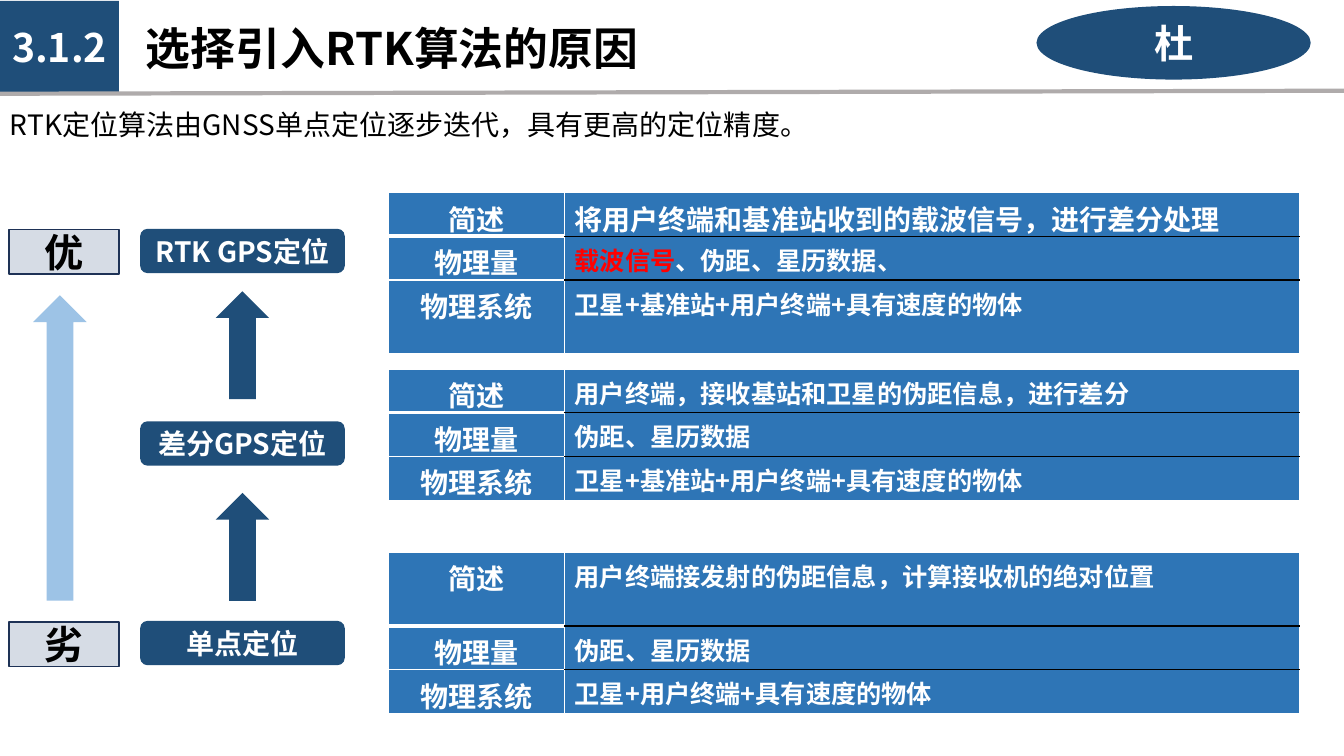
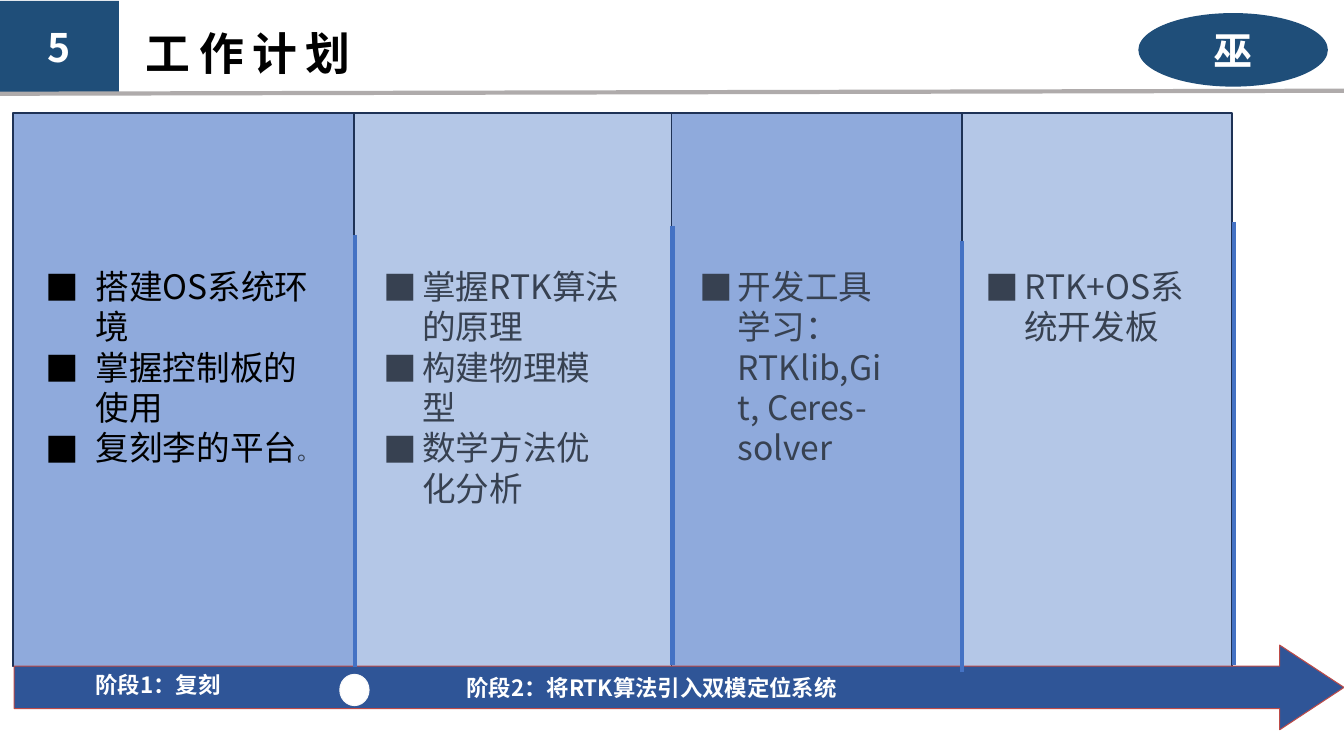
from dataclasses import dataclass

from lxml.etree import SubElement
from pptx import Presentation
from pptx.dml.color import RGBColor
from pptx.enum.shapes import MSO_CONNECTOR as Connector, MSO_SHAPE as Shape
from pptx.enum.text import MSO_ANCHOR as Anchor, PP_ALIGN as Align
from pptx.oxml.ns import qn
from pptx.util import Inches, Pt

FONT = "Noto Sans CJK SC"
WHITE, BLACK, RED = "FFFFFF", "000000", "FF0000"
NAVY, OUTLINE, RULE_GREY = "1F4E79", "1E3256", "AFABAB"
TABLE_BLUE, PALE_GREY, SKY = "2E75B6", "D6DCE5", "9DC3E6"
COLUMN_DARK, COLUMN_LIGHT, DIVIDER_BLUE = "8FAADC", "B4C7E7", "4472C4"
STAGE_BLUE, STAGE_EDGE, DOT_EDGE, SLATE = "2F5597", "BE4B48", "F9F9F9", "374151"


@dataclass
class Style:
    size: float
    color: str = WHITE
    bold: bool = True
    spacing: int = 0


def rgb(color):
    return RGBColor.from_string(color)


def add_run(paragraph, text, style):
    run = paragraph.add_run()
    run.text = text
    font = run.font
    font.size, font.bold, font.name = Pt(style.size), style.bold, FONT
    font.color.rgb = rgb(style.color)
    properties = run._r.get_or_add_rPr()
    SubElement(properties, qn("a:ea")).set("typeface", FONT)
    if style.spacing:
        properties.set("spc", str(style.spacing * 100))


def add_block(slide, kind, box, fill, edge=None, edge_width=1, text="", size=28, color=WHITE):
    """Add a preset shape with an optional outline and a centred bold label."""
    block = slide.shapes.add_shape(kind, *map(Inches, box))
    block.shadow.inherit = False
    block.fill.solid()
    block.fill.fore_color.rgb = rgb(fill)
    if edge:
        block.line.color.rgb = rgb(edge)
        block.line.width = Pt(edge_width)
    else:
        block.line.fill.background()
    if text:
        frame = block.text_frame
        frame.vertical_anchor = Anchor.MIDDLE
        frame.margin_top = frame.margin_bottom = 0
        frame.paragraphs[0].alignment = Align.CENTER
        add_run(frame.paragraphs[0], text, Style(size, color))
    return block


def add_text_frame(slide, box, anchor=Anchor.TOP):
    frame = slide.shapes.add_textbox(*map(Inches, box)).text_frame
    frame.word_wrap = True
    frame.vertical_anchor = anchor
    return frame


def add_label(slide, box, text, style, anchor=Anchor.TOP):
    add_run(add_text_frame(slide, box, anchor).paragraphs[0], text, style)


def add_rule(slide, start, end, color):
    rule = slide.shapes.add_connector(Connector.STRAIGHT, *map(Inches, start + end))
    rule.line.color.rgb = rgb(color)
    rule.line.width = Pt(3)
    SubElement(rule._element.spPr, qn("a:effectLst"))


def add_bullets(slide, box, items, style, indent):
    """Add a square-bulleted list; each item is a list of (text, style) runs or plain text."""
    frame = add_text_frame(slide, box)
    for index, item in enumerate(items):
        paragraph = frame.add_paragraph() if index else frame.paragraphs[0]
        properties = paragraph._p.get_or_add_pPr()
        properties.set("marL", str(Inches(indent)))
        properties.set("indent", str(-Inches(indent)))
        SubElement(properties, qn("a:buFont")).set("typeface", FONT)
        SubElement(properties, qn("a:buChar")).set("char", "■")
        for text, run_style in [(item, style)] if isinstance(item, str) else item:
            add_run(paragraph, text, run_style)


def set_borders(cell, borders):
    """Set the left, right, top and bottom borders, each a (colour, points) pair."""
    properties = cell._tc.get_or_add_tcPr()
    for index, (side, (color, width)) in enumerate(zip("LRTB", borders)):
        line = SubElement(properties, qn(f"a:ln{side}"), w=str(Pt(width)))
        fill = SubElement(line, qn("a:solidFill"))
        SubElement(fill, qn("a:srgbClr")).set("val", color)
        properties.insert(index, line)


def add_method_table(slide, top, heights, values):
    """Add a table of one positioning method; each value is a list of (text, style) runs."""
    edge = (WHITE, 1)
    label_lines = [edge, (WHITE, 3), edge, edge]
    value_lines = [edge, (BLACK, 1), (BLACK, 1), edge]
    widths = (1.75, 7.29)
    labels = ("简述", "物理量", "物理系统")
    table = slide.shapes.add_table(
        len(labels), len(widths), Inches(3.85), Inches(top),
        Inches(sum(widths)), Inches(sum(heights))).table
    for column, width in zip(table.columns, widths):
        column.width = Inches(width)
    for row, height in enumerate(heights):
        table.rows[row].height = Inches(height)
        contents = ([(labels[row], Style(20))], values[row])
        for column, (runs, lines) in enumerate(zip(contents, (label_lines, value_lines))):
            cell = table.cell(row, column)
            cell.fill.solid()
            cell.fill.fore_color.rgb = rgb(TABLE_BLUE)
            set_borders(cell, (edge, edge, lines[row], lines[row + 1]))
            paragraph = cell.text_frame.paragraphs[0]
            paragraph.alignment = Align.LEFT if column else Align.CENTER
            for text, style in runs:
                add_run(paragraph, text, style)


def add_titled_slide(deck, number, title, title_top, presenter, badge, spacing=0):
    slide = deck.slides.add_slide(deck.slide_layouts[6])
    add_block(slide, Shape.RECTANGLE, (0, 0.01, 1.18, 0.91), NAVY, text=number)
    add_rule(slide, (0, 0.93), (13.33, 0.9), RULE_GREY)
    add_label(slide, (1.35, title_top, 8.5, 0.64), title,
              Style(32, BLACK, spacing=spacing), Anchor.MIDDLE)
    add_block(slide, Shape.OVAL, badge, NAVY, text=presenter)
    return slide


def build_reasons(deck):
    slide = add_titled_slide(deck, "3.1.2", "选择引入RTK算法的原因", 0.15,
                             "杜", (10.28, 0.06, 2.72, 0.73))
    add_label(slide, (0, 1.02, 11.83, 0.44),
              "RTK定位算法由GNSS单点定位逐步迭代，具有更高的定位精度。",
              Style(20, BLACK, False))

    for grade, top in (("优", 2.28), ("劣", 6.17)):
        add_block(slide, Shape.RECTANGLE, (0.09, top, 1.09, 0.44), PALE_GREY,
                  OUTLINE, text=grade, color=BLACK)
    for method, top in (("RTK GPS定位", 2.27), ("差分GPS定位", 4.18), ("单点定位", 6.16)):
        button = add_block(slide, Shape.ROUNDED_RECTANGLE, (1.39, top, 2.03, 0.44),
                           NAVY, text=method, size=20)
        button.text_frame.word_wrap = False
    for left, top, height, color in ((0.33, 2.93, 3.03, SKY), (2.14, 2.89, 1.07, NAVY),
                                     (2.14, 4.89, 1.07, NAVY)):
        add_block(slide, Shape.UP_ARROW, (left, top, 0.53, height), color)

    body = Style(18)
    pseudorange = [("伪距、星历数据", body)]
    with_base = [("卫星+基准站+用户终端+具有速度的物体", body)]
    add_method_table(slide, 1.91, (0.43, 0.43, 0.73), (
        [("将用户终端和基准站收到的载波信号，进行差分处理", Style(20))],
        [("载波信号", Style(18, RED)), ("、伪距、星历数据、", body)],
        with_base))
    add_method_table(slide, 3.66, (0.43, 0.43, 0.43), (
        [("用户终端，接收基站和卫星的伪距信息，进行差分", body)], pseudorange, with_base))
    add_method_table(slide, 5.48, (0.73, 0.43, 0.43), (
        [("用户终端接发射的伪距信息，计算接收机的绝对位置", body)], pseudorange,
        [("卫星+用户终端+具有速度的物体", body)]))


def build_plan(deck):
    slide = add_titled_slide(deck, "5", "工作计划", 0.2, "巫",
                             (11.29, 0.13, 1.88, 0.73), spacing=6)
    column_top, column_bottom = 1.12, 6.61
    edges = (0.13, 3.51, 6.66, 9.54, 12.22)
    for index, (left, right) in enumerate(zip(edges, edges[1:])):
        add_block(slide, Shape.RECTANGLE,
                  (left, column_top, right - left, column_bottom - column_top),
                  COLUMN_LIGHT if index % 2 else COLUMN_DARK, OUTLINE)

    timeline = add_block(slide, Shape.RIGHT_ARROW, (0.14, 6.4, 13.19, 0.84),
                         STAGE_BLUE, STAGE_EDGE, 0.75)
    timeline.adjustments[0], timeline.adjustments[1] = 0.5, 0.76
    add_label(slide, (0.85, 6.61, 2.21, 0.37), "阶段1：复刻", Style(16))
    add_label(slide, (4.53, 6.64, 6.86, 0.37), "阶段2：将RTK算法引入双模定位系统", Style(16))
    add_block(slide, Shape.OVAL, (3.37, 6.69, 0.29, 0.31), WHITE, DOT_EDGE, 0.75)
    for x, top, bottom in ((3.52, 2.33, 6.62), (6.67, 2.24, 6.6),
                           (9.54, 2.39, 6.67), (12.24, 2.2, 6.6)):
        add_rule(slide, (x, top), (x, bottom), DIVIDER_BLUE)

    current, later = Style(24, BLACK, False), Style(24, SLATE, False)
    tasks = (
        (0.35, 2.94, 3.32, current, 0.5,
         ["搭建OS系统环境", "掌握控制板的使用",
          [("复刻李的平台", current), ("。", Style(16, SLATE, False))]]),
        (3.71, 2.55, 4.06, later, 0.38,
         ["掌握RTK算法的原理", "构建物理模型", "数学方法优化分析"]),
        (6.84, 2.03, 1.59, later, 0.38, ["开发工具学习：RTKlib,Git, Ceres-solver"]),
        (9.68, 2.32, 1.54, later, 0.38, ["RTK+OS系统开发板"]),
    )
    for left, width, height, style, indent, items in tasks:
        add_bullets(slide, (left, 2.59, width, height), items, style, indent)


def main():
    deck = Presentation()
    deck.slide_width, deck.slide_height = Inches(13.33), Inches(7.5)
    build_reasons(deck)
    build_plan(deck)
    deck.save("out.pptx")


if __name__ == "__main__":
    main()
